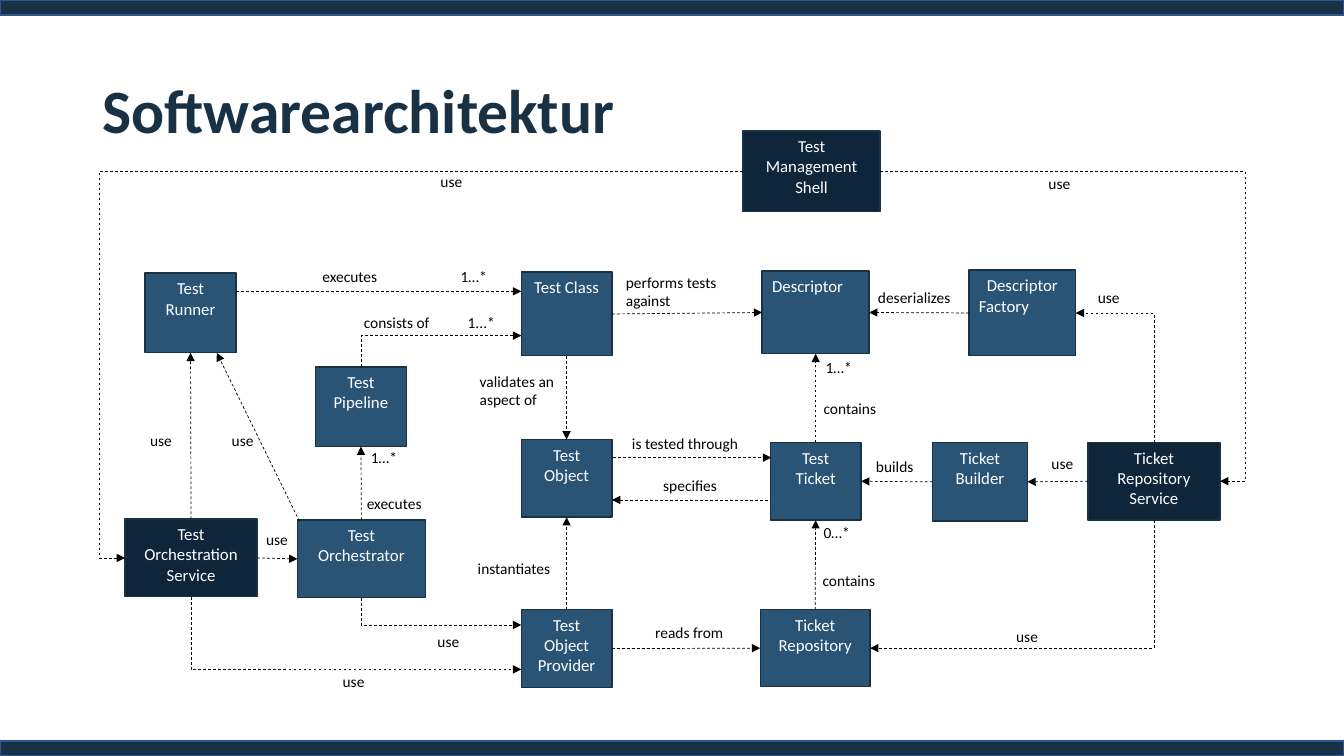
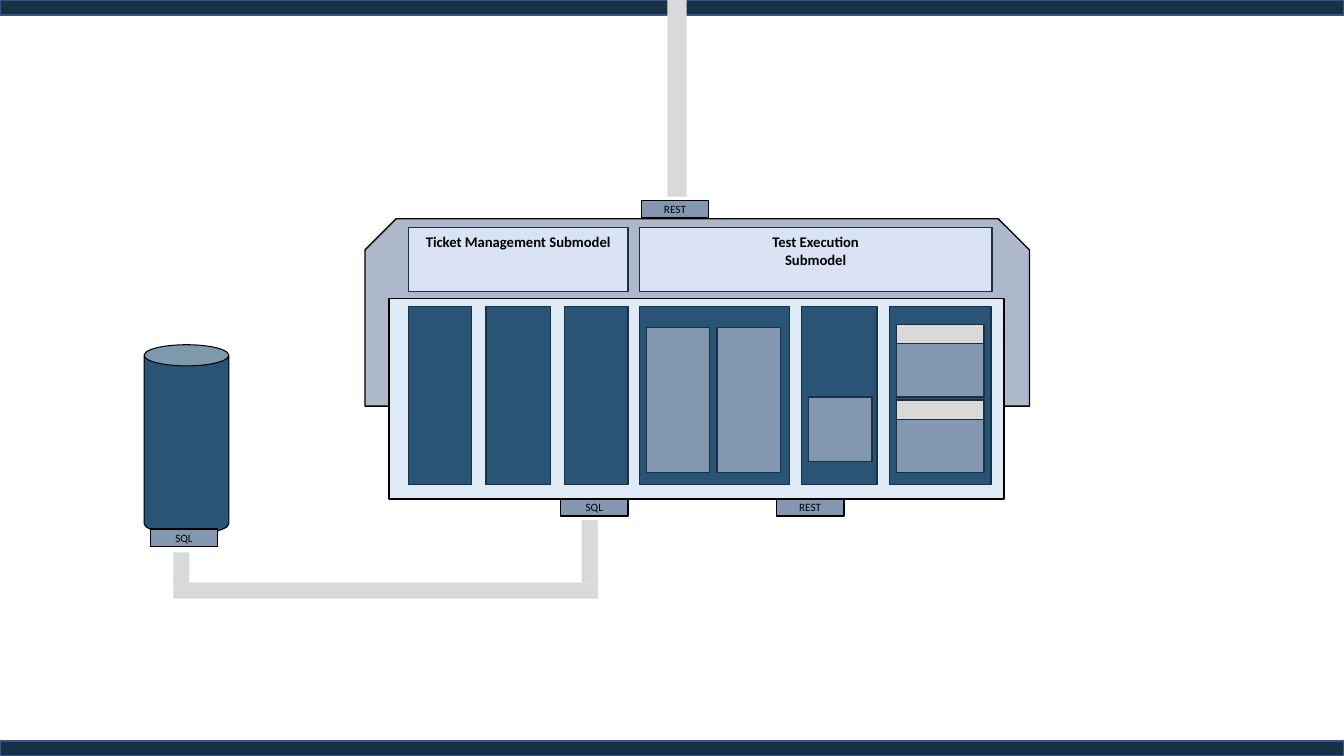
"""Build two slides on the software architecture of a test system."""
import dataclasses
import itertools
import typing

import lxml.etree
import pptx
import pptx.dml.color
import pptx.enum.dml
import pptx.enum.shapes
import pptx.enum.text
import pptx.oxml.ns
import pptx.shapes.autoshape
import pptx.shapes.connector
import pptx.slide
import pptx.text.text
import pptx.util

Color = pptx.dml.color.RGBColor
Inches = pptx.util.Inches
Pt = pptx.util.Pt
Align = pptx.enum.text.PP_ALIGN
Anchor = pptx.enum.text.MSO_ANCHOR
Preset = pptx.enum.shapes.MSO_SHAPE
qn = pptx.oxml.ns.qn

TOP, LEFT, BOTTOM, RIGHT = range(4)


@dataclasses.dataclass(frozen=True)
class Theme:
    font: str = "Calibri"
    navy: Color = Color(0x18, 0x31, 0x44)
    band_edge: Color = Color(0x32, 0x54, 0x91)
    service: Color = Color(0x0F, 0x25, 0x39)
    component: Color = Color(0x29, 0x54, 0x75)
    module: Color = Color(0x84, 0x97, 0xB0)
    housing: Color = Color(0xAD, 0xB9, 0xCA)
    slab: Color = Color(0xDE, 0xEB, 0xF7)
    submodel: Color = Color(0xDA, 0xE3, 0xF3)
    pipe: Color = Color(0xD9, 0xD9, 0xD9)
    black: Color = Color(0, 0, 0)
    white: Color = Color(0xFF, 0xFF, 0xFF)
    title_size: float = 44
    box_size: float = 12
    label_size: float = 11
    submodel_size: float = 10.5
    port_size: float = 8


THEME = Theme()


class Area(typing.NamedTuple):
    left: float
    top: float
    width: float
    height: float


class Point(typing.NamedTuple):
    x: float
    y: float


class Joint(typing.NamedTuple):
    box: str
    side: int


End = Point | Joint


@dataclasses.dataclass(frozen=True)
class Box:
    text: str
    area: Area
    fill: Color = THEME.component
    aligns: tuple[Align, ...] = (Align.CENTER,)


class Label(typing.NamedTuple):
    text: str
    left: float
    top: float
    width: float = 0.87
    height: float = 0.31


class Arrow(typing.NamedTuple):
    start: End
    end: End


class Detour(typing.NamedTuple):
    start: End
    end: End
    bend_x: float


class Panel(typing.NamedTuple):
    area: Area
    fill: Color
    line: Color | None = THEME.navy
    preset: Preset = Preset.RECTANGLE
    weight: float = 1


BOXES = {
    "shell": Box("Test Management Shell", Area(7.37, 1.3, 1.36, 0.8), THEME.service),
    "factory": Box("Descriptor\nFactory", Area(9.61, 2.68, 1.06, 0.85), aligns=(Align.CENTER, Align.LEFT)),
    "builder": Box("Ticket Builder", Area(9.25, 4.39, 0.94, 0.78)),
    "repository": Box("Ticket Repository", Area(7.54, 6.05, 1.09, 0.76)),
    "provider": Box("Test Object Provider", Area(5.17, 6.05, 0.9, 0.77)),
    "orchestrator": Box("Test\nOrchestrator", Area(2.95, 5.16, 1.27, 0.77)),
    "runner": Box("Test Runner", Area(1.44, 2.71, 0.9, 0.79)),
    "object": Box("Test Object", Area(5.17, 4.36, 0.9, 0.77)),
    "ticket": Box("Test Ticket", Area(7.64, 4.39, 0.9, 0.77)),
    "descriptor": Box("Descriptor", Area(7.56, 2.69, 1.06, 0.82), aligns=(Align.LEFT,)),
    "class": Box("Test Class", Area(5.17, 2.7, 0.9, 0.83)),
    "orchestration": Box("Test Orchestration Service", Area(1.24, 5.15, 1.31, 0.77), THEME.service),
    "pipeline": Box("Test Pipeline", Area(3.13, 3.64, 0.9, 0.79)),
    "tickets": Box("Ticket Repository Service", Area(10.79, 4.39, 1.31, 0.77), THEME.service),
}

STRAIGHT_ARROWS = (
    Arrow(Joint("class", BOTTOM), Joint("object", TOP)),
    Arrow(Point(2.34, 2.89), Point(5.17, 2.89)),
    Arrow(Point(2.97, 5.17), Point(2.15, 3.5)),
    Arrow(Joint("orchestrator", TOP), Joint("pipeline", BOTTOM)),
    Arrow(Joint("orchestration", TOP), Joint("runner", BOTTOM)),
    Arrow(Joint("orchestration", RIGHT), Joint("orchestrator", LEFT)),
    Arrow(Joint("provider", TOP), Joint("object", BOTTOM)),
    Arrow(Point(6.08, 4.54), Point(7.65, 4.54)),
    Arrow(Point(7.62, 4.96), Point(6.07, 4.96)),
    Arrow(Joint("ticket", TOP), Joint("descriptor", BOTTOM)),
    Arrow(Joint("class", RIGHT), Joint("descriptor", LEFT)),
    Arrow(Joint("repository", TOP), Joint("ticket", BOTTOM)),
    Arrow(Joint("provider", RIGHT), Joint("repository", LEFT)),
    Arrow(Joint("builder", LEFT), Joint("ticket", RIGHT)),
    Arrow(Joint("factory", LEFT), Joint("descriptor", RIGHT)),
    Arrow(Joint("tickets", LEFT), Joint("builder", RIGHT)),
)

CORNER_ARROWS = (
    Arrow(Joint("pipeline", TOP), Point(5.17, 3.33)),
    Arrow(Joint("orchestrator", BOTTOM), Point(5.17, 6.2)),
    Arrow(Joint("orchestration", BOTTOM), Point(5.17, 6.64)),
    Arrow(Joint("tickets", TOP), Joint("factory", RIGHT)),
    Arrow(Joint("tickets", BOTTOM), Joint("repository", RIGHT)),
)

DETOURS = (
    Detour(Joint("shell", LEFT), Joint("orchestration", LEFT), 0.98),
    Detour(Joint("shell", RIGHT), Joint("tickets", RIGHT), 12.35),
)

USE_PLACES = (
    (2.2, 4.23), (4.24, 6.22), (3.3, 6.62), (1.39, 4.23), (2.54, 5.21),
    (10.33, 4.46), (10.79, 2.81), (9.98, 6.17), (4.27, 1.66), (10.3, 1.68),
)

LABELS = (
    Label("validates an aspect of", 4.66, 3.64, 1.07, 0.51),
    Label("executes", 3.1, 2.6),
    Label("1…*", 4.47, 2.6, 0.6),
    Label("consists of", 3.51, 3.06, 0.95),
    Label("1...*", 4.54, 3.06, 0.6),
    Label("executes", 3.54, 4.85),
    Label("1…*", 3.58, 4.4),
    Label("instantiates", 4.64, 5.5, 1.06),
    Label("is tested through", 6.17, 4.26, 1.4),
    Label("specifies", 6.48, 4.67),
    Label("contains", 8.07, 3.91),
    Label("1…*", 8.09, 3.5, 0.55),
    Label("performs tests against", 6.11, 2.66, 1.34, 0.47),
    Label("contains", 8.06, 5.62),
    Label("0…*", 8.07, 5.14, 0.55),
    Label("reads from", 6.4, 6.13, 1.06),
    Label("builds", 8.59, 4.49),
    Label("deserializes", 8.61, 2.81, 1.0),
    *(Label("use", left, top, 0.52) for left, top in USE_PLACES),
)

PILLARS = ((4.05, 0.63), (4.82, 0.64), (5.6, 0.63), (6.34, 1.49), (7.95, 0.75), (8.82, 1.01))

PANELS = (
    Panel(Area(3.62, 2.17, 6.59, 1.86), THEME.housing, THEME.black, Preset.SNIP_2_SAME_RECTANGLE),
    Panel(Area(3.86, 2.96, 6.1, 1.99), THEME.slab, THEME.black),
    *(Panel(Area(left, 3.04, width, 1.77), THEME.component) for left, width in PILLARS),
    *(Panel(Area(left, 3.25, 0.63, 1.44), THEME.module) for left in (6.41, 7.11)),
    Panel(Area(8.02, 3.94, 0.63, 0.64), THEME.module),
    *(
        Panel(Area(8.89, top + offset, 0.87, height), fill)
        for top in (3.22, 3.97)
        for offset, height, fill in ((0, 0.19, THEME.pipe), (0.19, 0.53, THEME.module))
    ),
    Panel(Area(1.43, 3.42, 0.84, 1.88), THEME.component, THEME.black, Preset.CAN, 0.75),
    Panel(Area(6.62, 0, 0.19, 1.95), THEME.pipe, None),
    Panel(Area(5.77, 5.16, 0.16, 0.62), THEME.pipe, None),
    Panel(Area(1.72, 5.48, 0.16, 0.32), THEME.pipe, None),
    Panel(Area(1.72, 5.78, 4.21, 0.16), THEME.pipe, None),
)

SUBMODELS = (
    ("Ticket Management Submodel", Area(4.05, 2.26, 2.18, 0.63)),
    ("Test Execution\nSubmodel", Area(6.34, 2.26, 3.5, 0.63)),
)

PORTS = (("REST", 7.7, 4.95), ("REST", 6.36, 1.99), ("SQL", 5.56, 4.95), ("SQL", 1.49, 5.25))


def write(frame: pptx.text.text.TextFrame, text: str, *, size: float, color: Color = THEME.black,
          bold: bool = False, aligns: tuple[Align, ...] = (Align.CENTER,),
          anchor: Anchor = Anchor.TOP, spacing: float = 1.0) -> None:
    frame.word_wrap = True
    frame.vertical_anchor = anchor
    for index, (line, align) in enumerate(zip(text.split("\n"), itertools.cycle(aligns))):
        para = frame.add_paragraph() if index else frame.paragraphs[0]
        para.alignment = align
        para.line_spacing = spacing
        span = para.add_run()
        span.text = line
        span.font.name = THEME.font
        span.font.size = Pt(size)
        span.font.bold = bold
        span.font.color.rgb = color


def add_panel(page: pptx.slide.Slide, panel: Panel) -> pptx.shapes.autoshape.Shape:
    shape = page.shapes.add_shape(panel.preset, *map(Inches, panel.area))
    shape.shadow.inherit = False
    shape.fill.solid()
    shape.fill.fore_color.rgb = panel.fill
    if panel.line is None:
        shape.line.fill.background()
    else:
        shape.line.color.rgb = panel.line
        shape.line.width = Pt(panel.weight)
    return shape


def add_text(page: pptx.slide.Slide, text: str, area: Area, **style: typing.Any) -> pptx.shapes.autoshape.Shape:
    box = page.shapes.add_textbox(*map(Inches, area))
    write(box.text_frame, text, aligns=(Align.LEFT,), **style)
    return box


def locate(end: End) -> Point:
    if isinstance(end, Point):
        return end
    left, top, width, height = BOXES[end.box].area
    across, down = ((0.5, 0), (0, 0.5), (0.5, 1), (1, 0.5))[end.side]
    return Point(left + across * width, top + down * height)


def add_line(page: pptx.slide.Slide, start: Point, end: Point, *,
             elbow: bool = False) -> pptx.shapes.connector.Connector:
    kinds = pptx.enum.shapes.MSO_CONNECTOR
    kind = kinds.ELBOW if elbow else kinds.STRAIGHT
    connector = page.shapes.add_connector(kind, *map(Inches, (*start, *end)))
    connector.line.color.rgb = THEME.black
    connector.line.width = Pt(0.5)
    connector.line.dash_style = pptx.enum.dml.MSO_LINE.DASH
    properties = connector.element.spPr
    lxml.etree.SubElement(properties.find(qn("a:ln")), qn("a:tailEnd"), type="triangle")
    lxml.etree.SubElement(properties, qn("a:effectLst"))
    return connector


def add_corner(page: pptx.slide.Slide, start: Point, end: Point) -> None:
    middle = Point((start.x + end.x) / 2, (start.y + end.y) / 2)
    half_x, half_y = (end.x - start.x) / 2, (end.y - start.y) / 2
    connector = add_line(page, Point(middle.x - half_y, middle.y + half_x),
                         Point(middle.x + half_y, middle.y - half_x), elbow=True)
    properties = connector.element.spPr
    properties.find(qn("a:xfrm")).set("rot", "5400000")
    properties.find(qn("a:prstGeom")).set("prst", "bentConnector2")


def add_detour(page: pptx.slide.Slide, start: Point, end: Point, bend_x: float) -> None:
    geometry = add_line(page, start, end, elbow=True).element.spPr.find(qn("a:prstGeom"))
    share = round((bend_x - start.x) / (end.x - start.x) * 100000)
    guides = geometry.get_or_add_avLst()
    lxml.etree.SubElement(guides, qn("a:gd"), name="adj1", fmla=f"val {share}")


def add_page(deck: pptx.presentation.Presentation) -> pptx.slide.Slide:
    page = deck.slides.add_slide(deck.slide_layouts[6])
    for top in (7.35, 0):
        add_panel(page, Panel(Area(0, top, 13.33, 0.15), THEME.navy, THEME.band_edge))
    return page


def build_architecture(page: pptx.slide.Slide) -> None:
    add_text(page, "Softwarearchitektur", Area(0.92, 0.4, 11.5, 1.45), size=THEME.title_size,
             color=THEME.navy, bold=True, anchor=Anchor.MIDDLE, spacing=0.9)
    shapes = {}
    for name, box in BOXES.items():
        shapes[name] = add_panel(page, Panel(box.area, box.fill))
        write(shapes[name].text_frame, box.text, size=THEME.box_size, color=THEME.white, aligns=box.aligns)
    for start, end in STRAIGHT_ARROWS:
        connector = add_line(page, locate(start), locate(end))
        if isinstance(start, Joint):
            connector.begin_connect(shapes[start.box], start.side)
        if isinstance(end, Joint):
            connector.end_connect(shapes[end.box], end.side)
    for start, end in CORNER_ARROWS:
        add_corner(page, locate(start), locate(end))
    for start, end, bend_x in DETOURS:
        add_detour(page, locate(start), locate(end), bend_x)
    for text, *area in LABELS:
        add_text(page, text, Area(*area), size=THEME.label_size)


def build_deployment(page: pptx.slide.Slide) -> None:
    for panel in PANELS:
        add_panel(page, panel)
    for text, area in SUBMODELS:
        shape = add_panel(page, Panel(area, THEME.submodel))
        write(shape.text_frame, text, size=THEME.submodel_size, bold=True)
    for text, left, top in PORTS:
        shape = add_panel(page, Panel(Area(left, top, 0.67, 0.17), THEME.module, THEME.black))
        write(shape.text_frame, text, size=THEME.port_size, anchor=Anchor.MIDDLE)


def main() -> None:
    deck = pptx.Presentation()
    deck.slide_width, deck.slide_height = Inches(13.33), Inches(7.5)
    build_architecture(add_page(deck))
    build_deployment(add_page(deck))
    deck.save("out.pptx")


if __name__ == "__main__":
    main()
